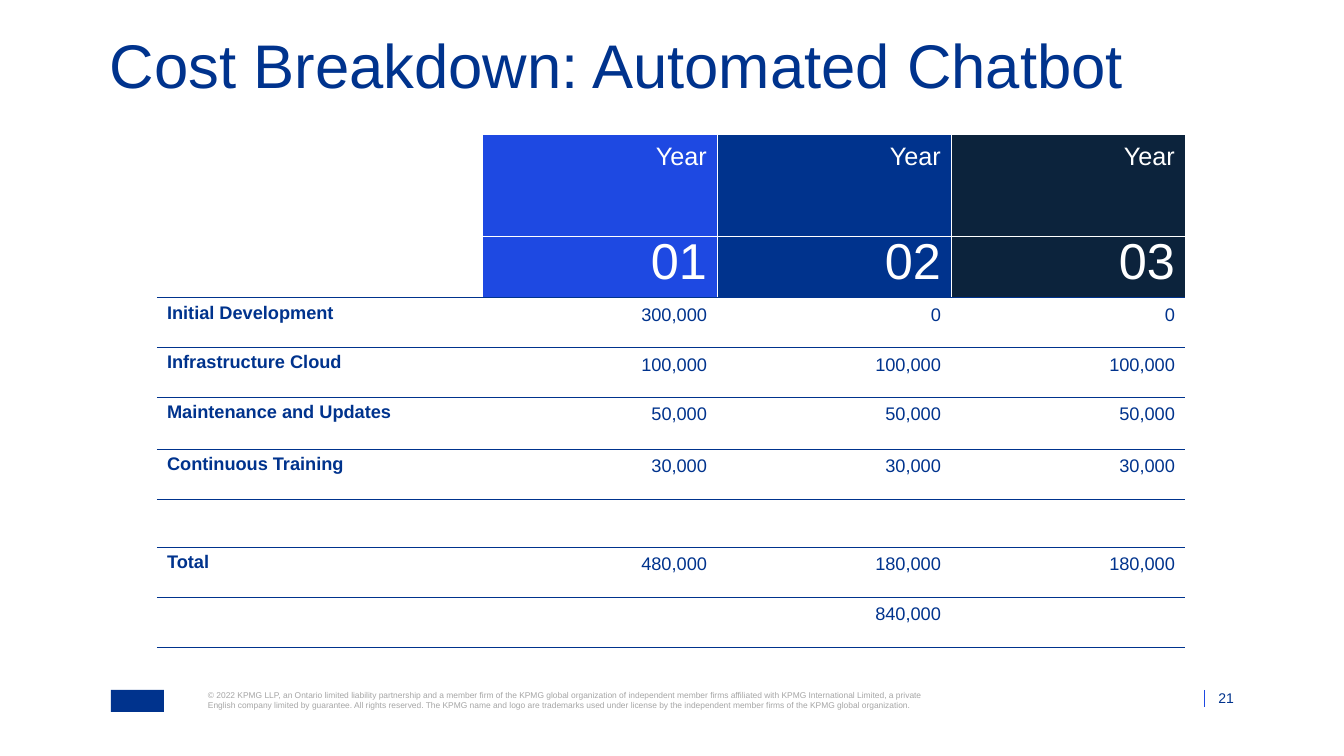
"""Build the cost breakdown slide for the automated chatbot."""
import dataclasses

import lxml.etree
import pptx
import pptx.dml.color
import pptx.enum.shapes
import pptx.enum.text
import pptx.oxml.ns
import pptx.util


@dataclasses.dataclass(frozen=True)
class Theme:
    font: str = "Arial"
    navy: str = "00338D"
    bright: str = "1E49E2"
    dark: str = "0C233C"
    white: str = "FFFFFF"
    grey: str = "A6A6A6"
    title_size: int = 44
    number_size: int = 36
    year_size: int = 18
    body_size: int = 13
    page_size: int = 10
    legal_size: int = 6
    rule_width: float = 0.5


theme = Theme()
PX = 914400 / 100.8
RIGHT = pptx.enum.text.PP_ALIGN.RIGHT
BOTTOM = pptx.enum.text.MSO_ANCHOR.BOTTOM
rgb = pptx.dml.color.RGBColor.from_string
qn = pptx.oxml.ns.qn


def px(*lengths):
    return [pptx.util.Emu(round(length * PX)) for length in lengths]


def write(frame, text, size, color, align=None, spacing=None, bold=False, insets=(0, 0)):
    frame.word_wrap = True
    frame.margin_left = frame.margin_right = px(insets[0])[0]
    frame.margin_top = frame.margin_bottom = px(insets[1])[0]
    paragraph = frame.paragraphs[0]
    paragraph.alignment = align
    paragraph.line_spacing = spacing
    run = paragraph.add_run()
    run.text = text
    run.font.name = theme.font
    run.font.size = pptx.util.Pt(size)
    run.font.bold = bold
    run.font.color.rgb = rgb(color)


presentation = pptx.Presentation()
presentation.slide_width, presentation.slide_height = px(1344, 756)
slide = presentation.slides.add_slide(presentation.slide_layouts[6])

page_number = slide.shapes.add_textbox(*px(1207, 690, 27, 16)).text_frame
write(page_number, "21", theme.page_size, theme.navy, RIGHT)
page_number.vertical_anchor = BOTTOM

emblem = slide.shapes.add_shape(
    pptx.enum.shapes.MSO_SHAPE.RECTANGLE, *px(111, 690, 53, 22))
emblem.shadow.inherit = False
emblem.fill.solid()
emblem.fill.fore_color.rgb = rgb(theme.navy)
emblem.line.fill.background()

legal = slide.shapes.add_textbox(*px(208, 690, 723, 20)).text_frame
write(legal, "© 2022 KPMG LLP, an Ontario limited liability partnership and a member firm "
      "of the KPMG global organization of independent member firms affiliated with KPMG "
      "International Limited, a private English company limited by guarantee. All rights "
      "reserved. The KPMG name and logo are trademarks used under license by the "
      "independent member firms of the KPMG global organization.",
      theme.legal_size, theme.grey)

page_rule = slide.shapes.add_connector(
    pptx.enum.shapes.MSO_CONNECTOR.STRAIGHT, *px(1204, 690, 1204, 707))
page_rule.line.color.rgb = rgb(theme.bright)
page_rule.line.width = pptx.util.Pt(theme.rule_width)
lxml.etree.SubElement(page_rule.element.spPr, qn("a:effectLst"))

title = slide.shapes.add_textbox(*px(110, 47, 1125, 58)).text_frame
write(title, "Cost Breakdown: Automated Chatbot", theme.title_size, theme.navy, spacing=0.7)

costs = [
    ["", "Year", "Year", "Year"],
    ["", "01", "02", "03"],
    ["Initial Development", "300,000", "0", "0"],
    ["Infrastructure Cloud", "100,000", "100,000", "100,000"],
    ["Maintenance and Updates", "50,000", "50,000", "50,000"],
    ["Continuous Training", "30,000", "30,000", "30,000"],
    ["", "", "", ""],
    ["Total", "480,000", "180,000", "180,000"],
    ["", "", "840,000", ""],
]
row_heights = [101, 60, 50, 50, 52, 50, 48, 50, 50]
column_widths = [326, 234, 234, 234]
year_fills = [None, theme.bright, theme.navy, theme.dark]

cost_table = slide.shapes.add_table(
    len(costs), len(column_widths),
    *px(157, 135, sum(column_widths), sum(row_heights))).table
cost_table.first_row = cost_table.horz_banding = False
for column, width in zip(cost_table.columns, px(*column_widths)):
    column.width = width
for row, height in zip(cost_table.rows, px(*row_heights)):
    row.height = height

for r, row_texts in enumerate(costs):
    for c, text in enumerate(row_texts):
        cell = cost_table.cell(r, c)
        header = r < 2
        if text and c == 0:
            write(cell.text_frame, text, theme.body_size, theme.navy,
                  bold=True, insets=(14, 13))
        elif text and r == 1:
            write(cell.text_frame, text, theme.number_size, theme.white,
                  RIGHT, 0.85, insets=(10, 6))
        elif text:
            size, color = ((theme.year_size, theme.white) if header
                           else (theme.body_size, theme.navy))
            write(cell.text_frame, text, size, color, RIGHT, 1.1, insets=(10, 13))

        edge_colors = {}
        for side, edge in (("lnL", c), ("lnR", c + 1)):
            edge_colors[side] = theme.white if header and edge in (2, 3) else None
        for side, edge in (("lnT", r), ("lnB", r + 1)):
            year_divider = theme.white if edge == 1 and c > 0 else None
            edge_colors[side] = theme.navy if edge >= 2 else year_divider
        properties = cell._tc.get_or_add_tcPr()
        for side, color in edge_colors.items():
            border = lxml.etree.SubElement(
                properties, qn("a:" + side), w=str(pptx.util.Pt(theme.rule_width)))
            if color:
                paint = lxml.etree.SubElement(border, qn("a:solidFill"))
                lxml.etree.SubElement(paint, qn("a:srgbClr"), val=color)
            else:
                lxml.etree.SubElement(border, qn("a:noFill"))

        if header and c > 0:
            cell.fill.solid()
            cell.fill.fore_color.rgb = rgb(year_fills[c])
        else:
            cell.fill.background()

presentation.save("out.pptx")
